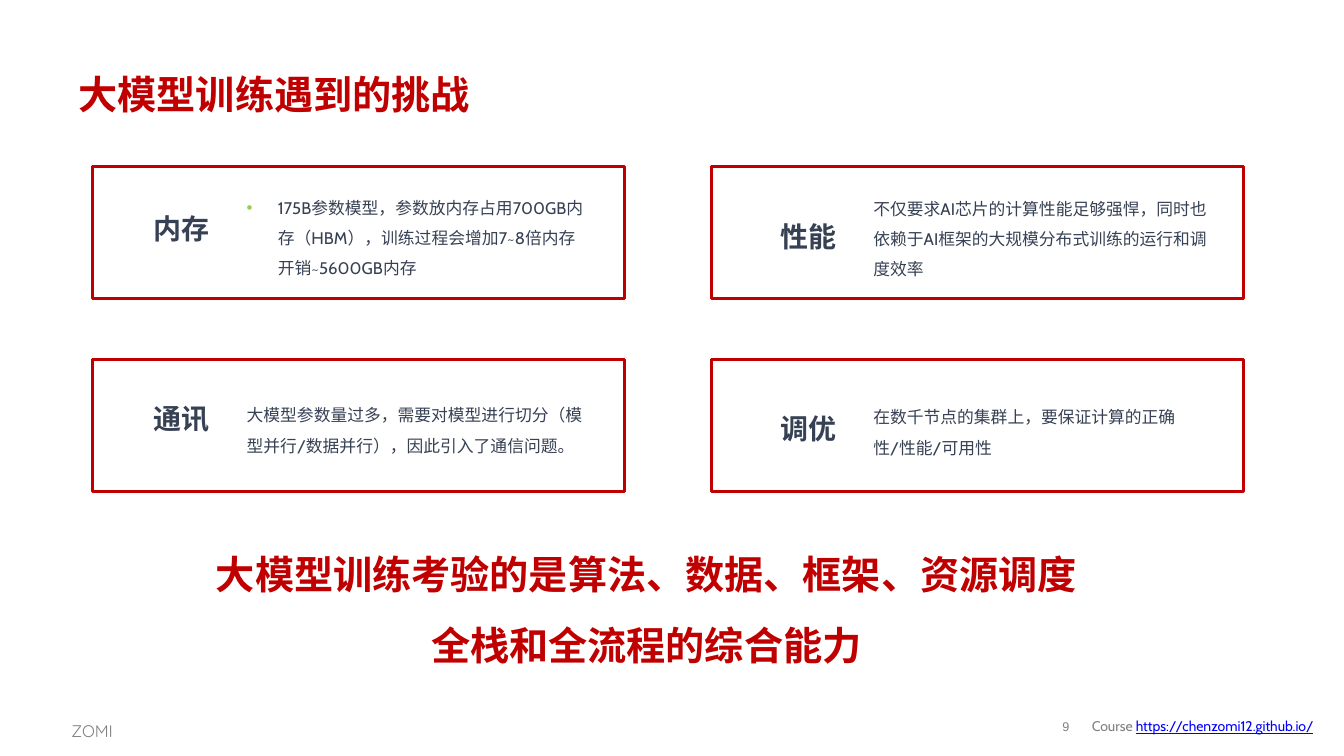
from lxml import etree
from pptx import Presentation
from pptx import util as u
from pptx.dml import color
from pptx.enum import shapes, text
from pptx.oxml import ns

CJK = "Noto Sans CJK SC"
RED, INK, GRAY, BLUE = "C00000", "374154", "808080", "0000FF"
LEFT, CENTER = text.PP_ALIGN.LEFT, text.PP_ALIGN.CENTER
TOP, MIDDLE = text.MSO_ANCHOR.TOP, text.MSO_ANCHOR.MIDDLE


def style_run(run, size, hex_color, latin=CJK, bold=False):
    run.font.size = u.Pt(size)
    run.font.bold = bold
    run.font.name = latin
    run.font.color.rgb = color.RGBColor.from_string(hex_color)
    east_asian = etree.Element(ns.qn("a:ea"), typeface=CJK)
    run.font._element.find(ns.qn("a:latin")).addnext(east_asian)


def add_text(place, lines, size, hex_color, latin=CJK, bold=False,
             align=LEFT, spacing=1.0, anchor=TOP, inset=True):
    shape = slide.shapes.add_textbox(*[u.Inches(value) for value in place])
    frame = shape.text_frame
    frame.word_wrap = True
    frame.vertical_anchor = anchor
    if not inset:
        frame.margin_left = frame.margin_right = 0
        frame.margin_top = frame.margin_bottom = 0
    frame.text = "\n".join(lines)
    for paragraph in frame.paragraphs:
        paragraph.alignment = align
        paragraph.line_spacing = spacing
        for run in paragraph.runs:
            style_run(run, size, hex_color, latin, bold)
    return frame


presentation = Presentation()
presentation.slide_width = u.Inches(13.34)
presentation.slide_height = u.Inches(7.5)
slide = presentation.slides.add_slide(presentation.slide_layouts[5])

title = slide.shapes.title
title.left, title.top = u.Inches(0.68), u.Inches(0.61)
title.width, title.height = u.Inches(11.99), u.Inches(0.64)
title.text_frame.text = "大模型训练遇到的挑战"
title.text_frame.vertical_anchor = MIDDLE
title_paragraph = title.text_frame.paragraphs[0]
title_paragraph.alignment = LEFT
style_run(title_paragraph.runs[0], 28, RED, bold=True)

# column, row, heading, heading left and top, body left, top and height
challenges = [
    (0, 0, "内存", 1.33, 2.1, 2.35, 1.81, 0.97,
     "175B参数模型，参数放内存占用700GB内存（HBM），训练过程会增加7~8倍内存开销~5600GB内存"),
    (1, 0, "性能", 7.56, 2.18, 8.57, 1.82, 0.97,
     "不仅要求AI芯片的计算性能足够强悍，同时也依赖于AI框架的大规模分布式训练的运行和调度效率"),
    (0, 1, "通讯", 1.33, 3.98, 2.35, 3.87, 0.67,
     "大模型参数量过多，需要对模型进行切分（模型并行/数据并行），因此引入了通信问题。"),
    (1, 1, "调优", 7.56, 4.08, 8.57, 3.89, 0.67,
     "在数千节点的集群上，要保证计算的正确性/性能/可用性"),
]
bodies = []
for column, row, heading, head_left, head_top, left, top, height, body in challenges:
    card = slide.shapes.add_shape(
        shapes.MSO_SHAPE.RECTANGLE,
        u.Inches(0.92 + 6.14 * column), u.Inches(1.65 + 1.92 * row),
        u.Inches(5.28), u.Inches(1.31))
    card.shadow.inherit = False
    card.fill.background()
    card.line.color.rgb = color.RGBColor.from_string(RED)
    card.line.width = u.Pt(2.25)
    add_text((head_left, head_top, 0.94, 0.34), [heading], 20, INK,
             bold=True, align=CENTER, inset=False)
    bodies.append(add_text((left, top, 3.55, height), [body], 12, INK,
                           latin="Cabin", spacing=1.5))

memory_properties = bodies[0].paragraphs[0]._p.get_or_add_pPr()
memory_properties.set("marL", str(u.Inches(0.31)))
memory_properties.set("indent", str(-u.Inches(0.31)))
bullet_color = etree.SubElement(memory_properties, ns.qn("a:buClr"))
etree.SubElement(bullet_color, ns.qn("a:srgbClr"), val="92D050")
etree.SubElement(memory_properties, ns.qn("a:buFont"), typeface="Arial")
etree.SubElement(memory_properties, ns.qn("a:buChar"), char="•")

add_text((0.86, 5.18, 11.11, 1.43),
         ["大模型训练考验的是算法、数据、框架、资源调度", "全栈和全流程的综合能力"],
         28, RED, bold=True, align=CENTER, spacing=1.5)

add_text((0.61, 7.06, 0.8, 0.32), ["ZOMI"], 12, GRAY, latin="Quicksand", spacing=1.2)
add_text((10.4, 7.06, 0.36, 0.31), ["9"], 9, GRAY, latin="Arial",
         align=CENTER, spacing=0.85, anchor=MIDDLE, inset=False)
course = add_text((10.74, 7.06, 2.46, 0.29), ["Course "], 10, GRAY,
                  latin="Cabin", anchor=MIDDLE)
address = course.paragraphs[0].add_run()
address.text = "https://chenzomi12.github.io/"
style_run(address, 10, BLUE, latin="Cabin")
address.font.underline = True

presentation.save("out.pptx")
